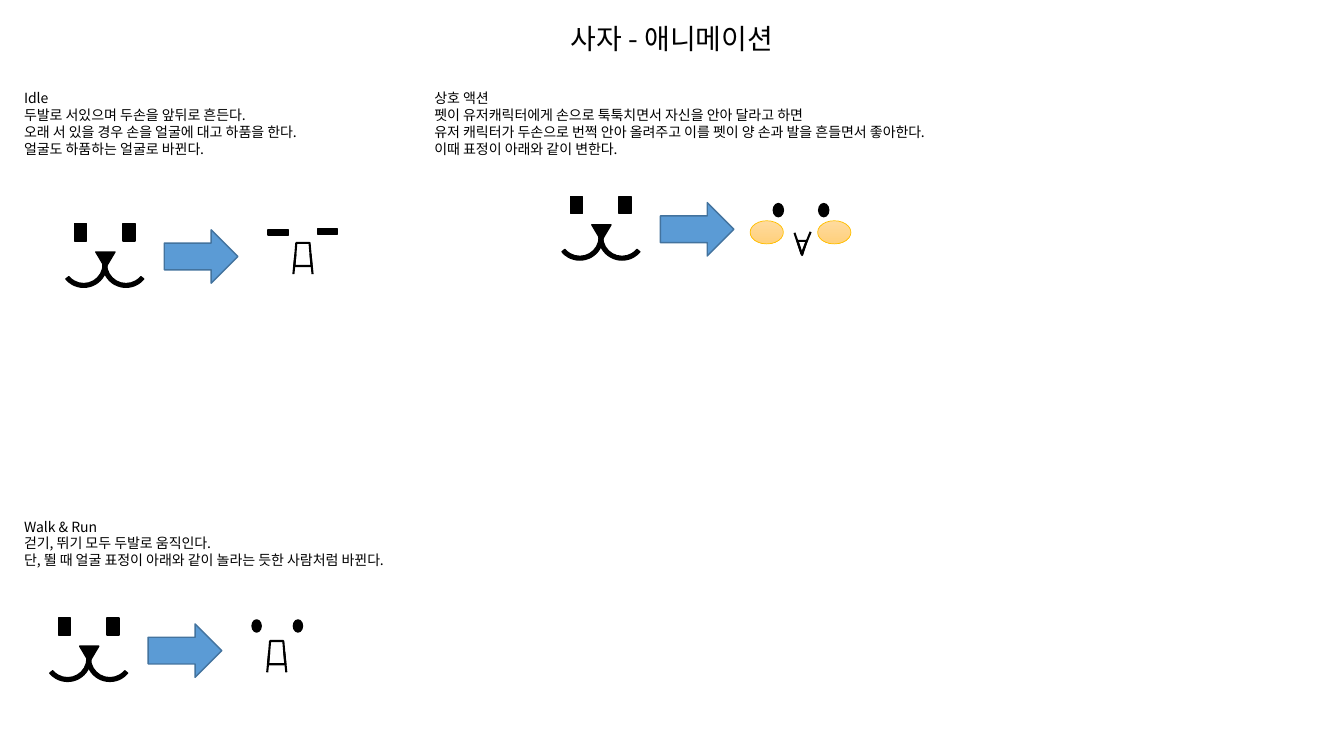
"""Builds the lion animation slide: three captions, each with a face that changes expression."""
from dataclasses import dataclass

from lxml.etree import SubElement
from pptx import Presentation
from pptx.dml.color import RGBColor
from pptx.enum.shapes import MSO_CONNECTOR, MSO_SHAPE as Shape
from pptx.enum.text import MSO_ANCHOR, MSO_AUTO_SIZE, PP_ALIGN
from pptx.oxml.ns import qn
from pptx.util import Inches, Pt


@dataclass(frozen=True)
class Theme:
    font: str = "Noto Sans CJK KR"
    title_size: int = 20
    body_size: int = 10
    ink: str = "000000"
    paper: str = "FFFFFF"
    arrow: str = "5B9BD5"
    arrow_edge: str = "43739E"
    blush: tuple = ("FFDB9E", "FFD07C")
    blush_edge: str = "FFC000"


THEME = Theme()
TITLE = "사자 - 애니메이션"
CAPTIONS = [
    ((0.14, 0.84, 3.26, 0.77), [
        "Idle\v두발로 서있으며 두손을 앞뒤로 흔든다.",
        "오래 서 있을 경우 손을 얼굴에 대고 하품을 한다.",
        "얼굴도 하품하는 얼굴로 바뀐다."]),
    ((0.14, 5.09, 4.26, 0.61), [
        "Walk & Run\v걷기, 뛰기 모두 두발로 움직인다.",
        "단, 뛸 때 얼굴 표정이 아래와 같이 놀라는 듯한 사람처럼 바뀐다."]),
    ((4.21, 0.84, 5.73, 0.77), [
        "상호 액션\v펫이 유저캐릭터에게 손으로 툭툭치면서 자신을 안아 달라고 하면",
        "유저 캐릭터가 두손으로 번쩍 안아 올려주고 이를 펫이 양 손과 발을 흔들면서 좋아한다.",
        "이때 표정이 아래와 같이 변한다."]),
]
LION_FACES = [(0.6, 2.22), (0.44, 6.13), (5.52, 1.95)]
OPEN_MOUTHS = [(2.92, 2.41), (2.66, 6.36)]
SLEEPY_EYES = [(2.66, 2.28), (3.15, 2.27)]
SURPRISED_EYES = [(2.5, 6.15), (2.91, 6.15)]
HAPPY_EYES = [(7.67, 2.02), (8.12, 2.02)]
CHEEKS = [(7.44, 2.19), (8.11, 2.19)]
SMILE = (7.91, 2.39)
SMILE_TIP = (7.95, 2.52)
SMILE_ENDS = [(7.88, 2.31), (8.04, 2.3)]


def color(value):
    return RGBColor.from_string(value)


def add_text(slide, place, lines, size):
    box = slide.shapes.add_textbox(*map(Inches, place))
    frame = box.text_frame
    for index, line in enumerate(lines):
        para = frame.paragraphs[0] if index == 0 else frame.add_paragraph()
        para.text = line
        for line_break in para._p.findall(qn("a:br")):
            SubElement(line_break, qn("a:rPr"), sz=str(size * 100))
        for span in para.runs:
            span.font.size = Pt(size)
            span.font.name = THEME.font
            span.font.color.rgb = color(THEME.ink)
            SubElement(span.font._element, qn("a:ea"), typeface=THEME.font)
    return frame


def add_part(slide, kind, place, fill=THEME.ink, edge=THEME.ink, width=1, turn=0, adjust=()):
    part = slide.shapes.add_shape(kind, *map(Inches, place))
    part.shadow.inherit = False
    part.rotation = turn
    for index, value in enumerate(adjust):
        part.adjustments[index] = value
    if isinstance(fill, tuple):
        part.fill.gradient()
        part.fill.gradient_angle = 270
        for stop, value in zip(part.fill.gradient_stops, fill):
            stop.color.rgb = color(value)
    else:
        part.fill.solid()
        part.fill.fore_color.rgb = color(fill)
    part.line.color.rgb = color(edge)
    part.line.width = Pt(width)
    return part


def add_stroke(slide, start, end):
    stroke = slide.shapes.add_connector(MSO_CONNECTOR.STRAIGHT, *map(Inches, start + end))
    stroke.line.color.rgb = color(THEME.ink)
    stroke.line.width = Pt(1.5)
    SubElement(stroke._element.spPr, qn("a:effectLst"))


def add_lion(slide, left, top):
    for offset in (0, 0.42):
        cheek = add_part(slide, Shape.BLOCK_ARC, (left + offset, top + 0.17, 0.46, 0.46),
                         turn=180, adjust=(108, 191.999, 0.08))
        if offset:
            cheek._element.spPr.xfrm.set("flipH", "1")
    for offset in (0.14, 0.62):
        add_part(slide, Shape.RECTANGLE, (left + offset, top, 0.12, 0.17))
    add_part(slide, Shape.ISOSCELES_TRIANGLE, (left + 0.35, top + 0.28, 0.19, 0.16), turn=180)
    add_part(slide, Shape.RIGHT_ARROW, (left + 1.03, top + 0.06, 0.73, 0.53),
             THEME.arrow, THEME.arrow_edge)


def add_open_mouth(slide, left, top):
    add_part(slide, Shape.TRAPEZOID, (left, top, 0.17, 0.23), THEME.paper, width=1.5,
             adjust=(0.115,))
    for upper, lower in ((0.01, -0.01), (0.16, 0.18)):
        add_stroke(slide, (left + upper, top + 0.11), (left + lower, top + 0.31))


def add_pair(slide, kind, corners, size, **style):
    for corner in corners:
        add_part(slide, kind, corner + size, **style)


def main():
    deck = Presentation()
    deck.slide_width, deck.slide_height = Inches(13.33), Inches(7.5)
    page = deck.slides.add_slide(deck.slide_layouts[6])

    title = add_text(page, (0, 0, 13.33, 0.8), [TITLE], THEME.title_size)
    title.word_wrap = True
    title.vertical_anchor = MSO_ANCHOR.MIDDLE
    title.paragraphs[0].alignment = PP_ALIGN.CENTER
    title.paragraphs[0].line_spacing = 0.9
    for place, lines in CAPTIONS:
        caption = add_text(page, place, lines, THEME.body_size)
        caption.word_wrap = False
        caption.auto_size = MSO_AUTO_SIZE.SHAPE_TO_FIT_TEXT

    for corner in LION_FACES:
        add_lion(page, *corner)
    for corner in OPEN_MOUTHS:
        add_open_mouth(page, *corner)
    add_pair(page, Shape.RECTANGLE, SLEEPY_EYES, (0.2, 0.05))
    add_pair(page, Shape.OVAL, SURPRISED_EYES, (0.09, 0.12))
    add_part(page, Shape.ISOSCELES_TRIANGLE, SMILE + (0.09, 0.14), THEME.paper, width=1.5, turn=180)
    for end in SMILE_ENDS:
        add_stroke(page, SMILE_TIP, end)
    add_pair(page, Shape.OVAL, HAPPY_EYES, (0.1, 0.13))
    add_pair(page, Shape.OVAL, CHEEKS, (0.33, 0.23), fill=THEME.blush, edge=THEME.blush_edge,
             width=0.5)
    deck.save("out.pptx")


if __name__ == "__main__":
    main()
